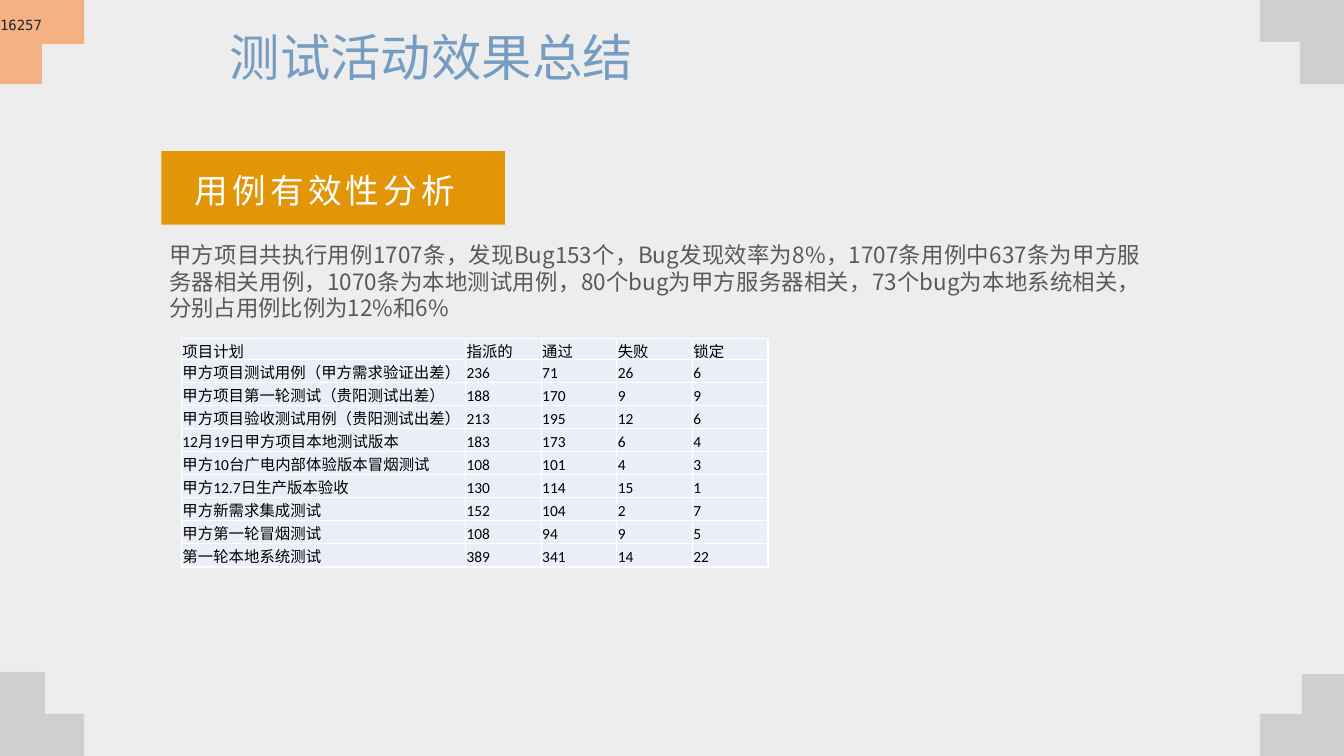
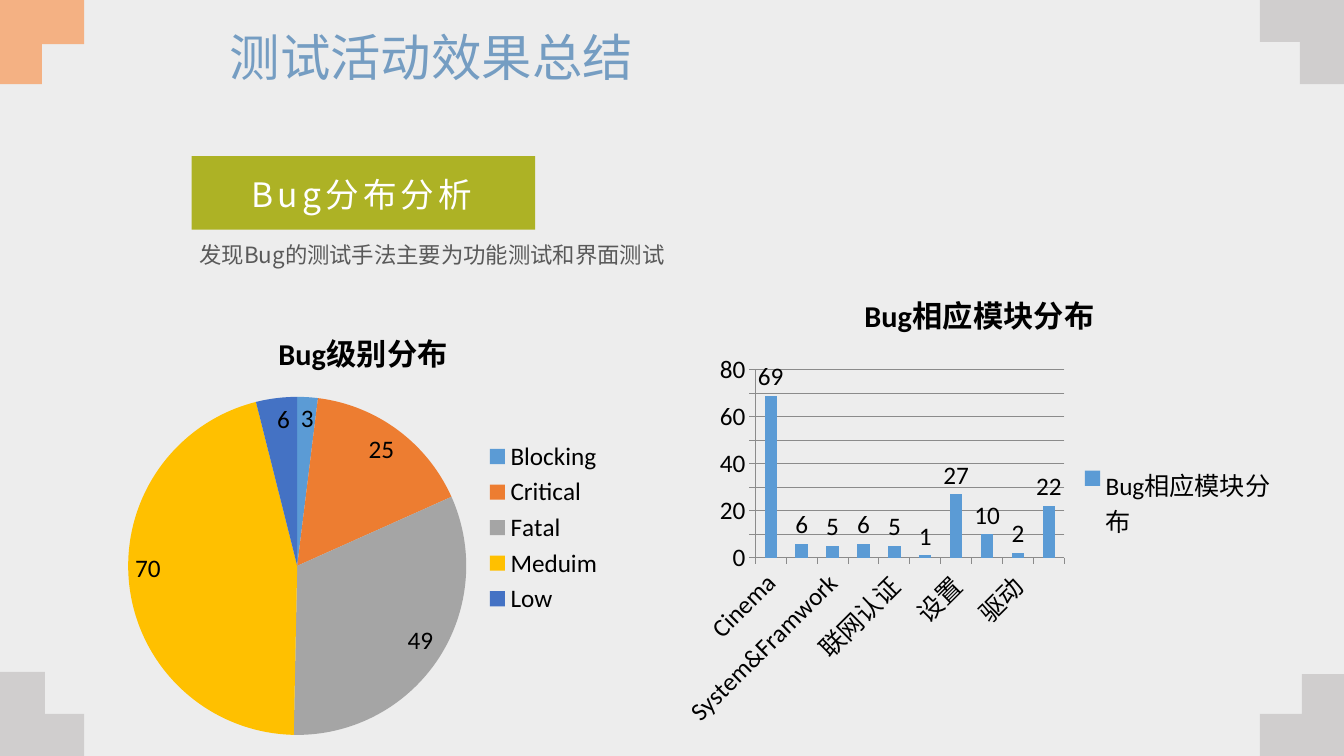
import pptx
import pptx.util
import pptx.dml.color
import pptx.chart.data
import pptx.enum.chart
import pptx.enum.shapes
import pptx.enum.text
import pptx.oxml
import pptx.oxml.ns
import lxml.etree

Pt = pptx.util.Pt
Align = pptx.enum.text.PP_ALIGN
Anchor = pptx.enum.text.MSO_ANCHOR
Fit = pptx.enum.text.MSO_AUTO_SIZE
Kind = pptx.enum.chart.XL_CHART_TYPE
Place = pptx.enum.chart.XL_LABEL_POSITION
qn = pptx.oxml.ns.qn

SANS = "Noto Sans CJK SC"
GREY = "D0CECE"
PEACH = "F4B183"
BLUE = "5B9BD5"
WHITE = "FFFFFF"
BLACK = "000000"
LINE = "8B8B8B"
BODY = {"size": 16, "tone": "595959", "align": Align.JUSTIFY}
LABEL = {"size": 24, "tone": WHITE, "align": Align.CENTER, "gap": 300,
         "frame": {"word_wrap": False, "auto_size": Fit.SHAPE_TO_FIT_TEXT}}


def paint(fill, tone):
    fill.solid()
    fill.fore_color.rgb = pptx.dml.color.RGBColor.from_string(tone)


def write(slide, box, words, size, tone, align=Align.LEFT, face=SANS,
          gap=0, lead=None, frame=None):
    area = slide.shapes.add_textbox(*map(Pt, box)).text_frame
    for name, value in ({"word_wrap": True} | (frame or {})).items():
        setattr(area, name, value)
    para = area.paragraphs[0]
    para.alignment = align
    para.line_spacing = lead
    run = para.add_run()
    run.text = words
    run.font.size = Pt(size)
    run.font.name = face
    paint(run.font.fill, tone)
    marks = run.font._element
    lxml.etree.SubElement(marks, qn("a:ea")).set("typeface", face)
    if gap:
        marks.set("spc", str(gap))


deck = pptx.Presentation()
deck.slide_width = Pt(960)
deck.slide_height = Pt(540)
blank = deck.slide_layouts[6]
master = deck.slide_master
paint(master.background.fill, "EDEDED")

pages = [deck.slides.add_slide(blank) for _ in range(2)]
cases, bugs = pages

corners = [
    (0, 540, 1, -1, 30, 32, GREY),
    (0, 0, 1, 1, 31.5, 30, PEACH),
    (960, 0, -1, 1, 30, 31.5, GREY),
    (960, 541.5, -1, -1, 31.5, 30, GREY),
]
for x, y, across, down, high, wide, tone in corners:
    steps = [(0, 0), (60, 0), (60, high), (wide, high), (wide, 60), (0, 60)]
    spots = [(Pt(x + across * a), Pt(y + down * b)) for a, b in steps]
    pen = cases.shapes.build_freeform(*spots[0])
    pen.add_line_segments(spots[1:], close=True)
    corner = pen.convert_to_shape()
    corner.shadow.inherit = False
    paint(corner.fill, tone)
    corner.line.fill.background()
    master.shapes.element.append(corner.element)

heads = [
    (cases, 115.2, 108, "E39508", (129.6, 118, 205.2, 36), "用例有效性分析"),
    (bugs, 136.8, 111.6, "ADB225", (169.2, 121, 178.6, 36), "Bug分布分析"),
]
for page, left, top, tone, box, words in heads:
    write(page, (157, 20.2, 646.6, 48.2), "测试活动效果总结", 36, "759DC2", lead=0.9)
    band = page.shapes.add_shape(pptx.enum.shapes.MSO_SHAPE.RECTANGLE,
                                 Pt(left), Pt(top), Pt(245.5), Pt(52.5))
    band.shadow.inherit = False
    paint(band.fill, tone)
    band.line.fill.background()
    write(page, box, words, **LABEL)

write(cases, (113.8, 168.5, 707.8, 65.5),
      "甲方项目共执行用例1707条，发现Bug153个，Bug发现效率为8%，1707条用例中637条为"
      "甲方服务器相关用例，1070条为本地测试用例，80个bug为甲方服务器相关，73个bug为本地"
      "系统相关，分别占用例比例为12%和6%", **BODY)
write(cases, (0, 0, 960, 36), "16257", 10, "222222", face="DejaVu Sans Mono",
      frame={"margin_left": 0, "margin_right": 0, "margin_top": 0,
             "margin_bottom": 0, "word_wrap": False,
             "auto_size": Fit.SHAPE_TO_FIT_TEXT,
             "vertical_anchor": Anchor.MIDDLE})
write(bugs, (135.4, 168.5, 382.3, 26.6),
      "发现Bug的测试手法主要为功能测试和界面测试", **BODY)

plans = [
    ("项目计划", "指派的", "通过", "失败", "锁定"),
    ("甲方项目测试用例（甲方需求验证出差）", 236, 71, 26, 6),
    ("甲方项目第一轮测试（贵阳测试出差）", 188, 170, 9, 9),
    ("甲方项目验收测试用例（贵阳测试出差）", 213, 195, 12, 6),
    ("12月19日甲方项目本地测试版本", 183, 173, 6, 4),
    ("甲方10台广电内部体验版本冒烟测试", 108, 101, 4, 3),
    ("甲方12.7日生产版本验收", 130, 114, 15, 1),
    ("甲方新需求集成测试", 152, 104, 2, 7),
    ("甲方第一轮冒烟测试", 108, 94, 9, 5),
    ("第一轮本地系统测试", 389, 341, 14, 22),
]
grid = cases.shapes.add_table(len(plans), 5, Pt(129.6), Pt(241.5),
                              Pt(419), Pt(163.5)).table
grid.first_row = False
grid.horz_banding = False
for col, width in zip(grid.columns, [203] + [54] * 4):
    col.width = Pt(width)
inset = {"margin_left": Pt(0.72), "margin_right": Pt(0.72),
         "margin_top": Pt(0.72), "margin_bottom": 0,
         "vertical_anchor": Anchor.BOTTOM}
for r, plan in enumerate(plans):
    grid.rows[r].height = Pt(16.5 if r else 15)
    for c, item in enumerate(plan):
        cell = grid.cell(r, c)
        for name, value in inset.items():
            setattr(cell, name, value)
        for side in ("lnL", "lnR", "lnT", "lnB"):
            cell._tc.get_or_add_tcPr().append(pptx.oxml.parse_xml(
                f'<a:{side} xmlns:a="{pptx.oxml.ns.nsuri("a")}" w="12700"><a:solidFill>'
                f'<a:srgbClr val="{WHITE}"/></a:solidFill></a:{side}>'))
        paint(cell.fill, "EAEFF7")
        run = cell.text_frame.paragraphs[0].add_run()
        run.text = str(item)
        run.font.size = Pt(11)
        run.font.name = "Calibri"
        paint(run.font.fill, BLACK)

graphs = [
    (Kind.PIE, (80.6, 218.9, 357.8, 316), "Bug级别分布", Place.INSIDE_END,
     {"Blocking": 3, "Critical": 25, "Fatal": 49, "Meduim": 70, "Low": 6}),
    (Kind.COLUMN_CLUSTERED, (480.2, 191.5, 439.2, 334.8), "Bug相应模块分布",
     Place.OUTSIDE_END,
     {"Cinema": 69, "Launcher": 6, "System&Framwork": 5, "直播": 6,
      "联网认证": 5, "剧院模式": 1, "设置": 27, "手柄": 10, "驱动": 2,
      "游戏商城": 22}),
]
for kind, box, title, place, counts in graphs:
    data = pptx.chart.data.CategoryChartData()
    data.categories = list(counts)
    data.add_series(title, list(counts.values()))
    chart = bugs.shapes.add_chart(kind, *map(Pt, box), data).chart
    chart.font.size = Pt(18)
    chart.font.name = "Calibri"
    paint(chart.font.fill, BLACK)
    chart.has_title = True
    run = chart.chart_title.text_frame.paragraphs[0].add_run()
    run.text = title
    for name, value in {"size": Pt(21.6), "bold": True, "name": "Calibri"}.items():
        setattr(run.font, name, value)
    paint(run.font.fill, BLACK)
    chart.has_legend = True
    chart.legend.position = pptx.enum.chart.XL_LEGEND_POSITION.RIGHT
    chart.legend.include_in_layout = False
    plot = chart.plots[0]
    plot.vary_by_categories = kind == Kind.PIE
    plot.has_data_labels = True
    for name, value in {"show_value": True, "position": place}.items():
        setattr(plot.data_labels, name, value)
    series = plot.series[0]
    if kind == Kind.PIE:
        for n, tone in enumerate([BLUE, "ED7D31", "A5A5A5", "FFC000", "4472C4"]):
            paint(series.points[n].format.fill, tone)
    else:
        paint(series.format.fill, BLUE)
        plot.gap_width = 150
        chart.value_axis.has_major_gridlines = True
        rules = [chart.value_axis, chart.category_axis]
        for axis in rules:
            axis.major_tick_mark = pptx.enum.chart.XL_TICK_MARK.OUTSIDE
        for part in rules + [chart.value_axis.major_gridlines]:
            paint(part.format.line.fill, LINE)
            part.format.line.width = Pt(0.75)

deck.save("out.pptx")
